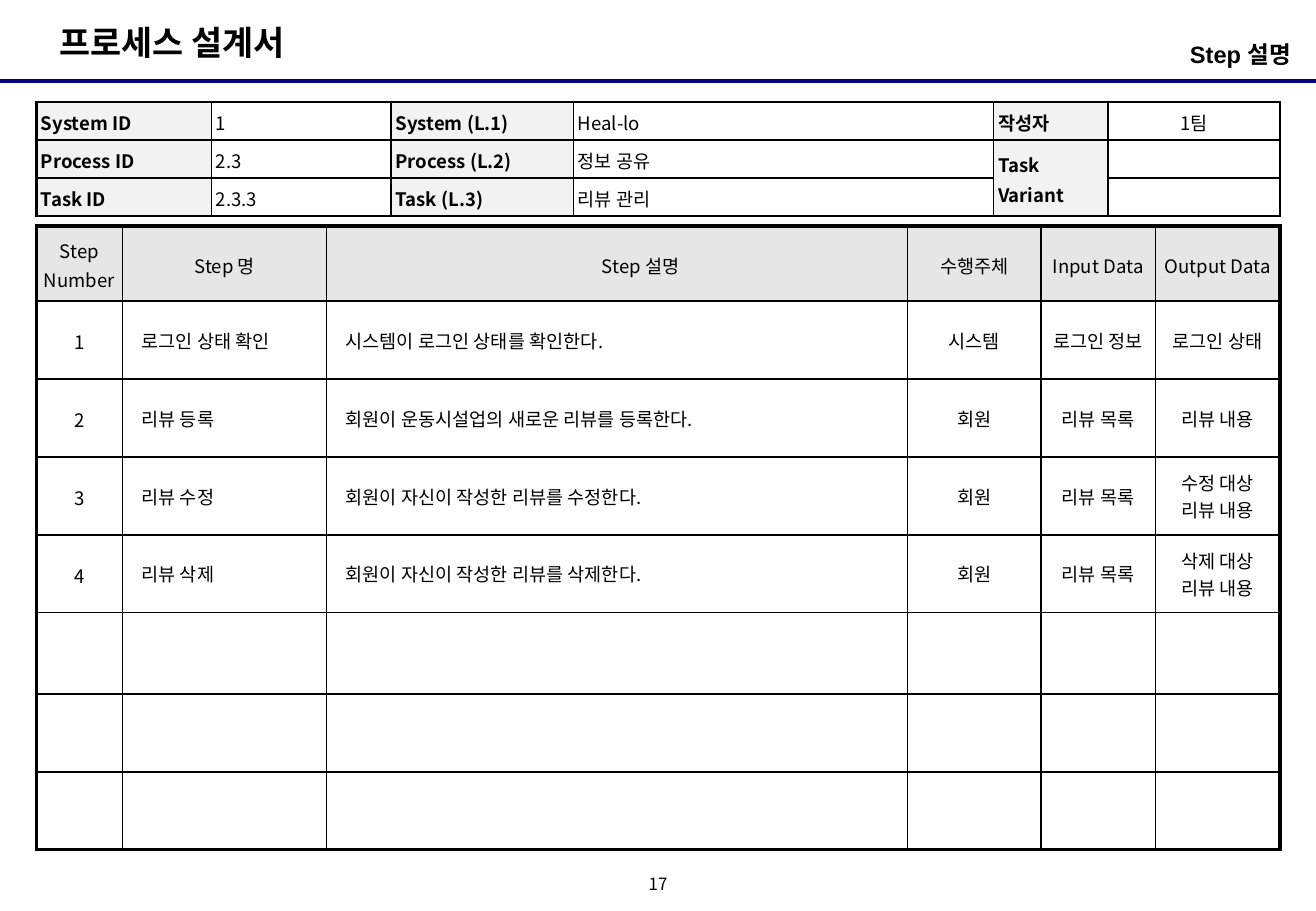
"""Build the step description page of a process design document."""
from lxml.etree import SubElement
from pptx import Presentation
from pptx.dml.color import RGBColor
from pptx.enum.shapes import MSO_CONNECTOR as Connector
from pptx.enum.text import MSO_ANCHOR as Anchor, PP_ALIGN as Align
from pptx.oxml.ns import qn
from pptx.util import Pt

BLACK = RGBColor(0, 0, 0)
NAVY = RGBColor(0, 0, 0x80)
LABEL_GREY = RGBColor(0xF2, 0xF2, 0xF2)
HEADER_GREY = RGBColor(0xE6, 0xE6, 0xE6)
KOREAN_FONT = "Noto Sans CJK KR"
TABLE_LEFT = 21.6

INFO_COLUMNS = [103.7, 106.6, 108, 249.1, 67.7, 102.2]
INFO_ROWS = [
    ["System ID", "1", "System (L.1)", "Heal-lo", "작성자", "1팀"],
    ["Process ID", "2.3", "Process (L.2)", "정보 공유", "Task Variant", ""],
    ["Task ID", "2.3.3", "Task (L.3)", "리뷰 관리", "", ""],
]
STEP_COLUMNS = [51.1, 121, 344.2, 79.2, 67.7, 73.9]
STEP_HEIGHTS = [44.6] + [46.2] * 4 + [48.2] + [46.2] * 2
STEP_ROWS = [
    ["Step Number", "Step 명", "Step 설명", "수행주체", "Input Data", "Output Data"],
    ["1", "로그인 상태 확인", "시스템이 로그인 상태를 확인한다.", "시스템", "로그인 정보", "로그인 상태"],
    ["2", "리뷰 등록", "회원이 운동시설업의 새로운 리뷰를 등록한다.", "회원", "리뷰 목록", "리뷰 내용"],
    ["3", "리뷰 수정", "회원이 자신이 작성한 리뷰를 수정한다.", "회원", "리뷰 목록", "수정 대상\n리뷰 내용"],
    ["4", "리뷰 삭제", "회원이 자신이 작성한 리뷰를 삭제한다.", "회원", "리뷰 목록", "삭제 대상\n리뷰 내용"],
] + [[""] * 6] * 3


def apply_format(target, values):
    for name, value in values.items():
        setattr(target, name, value)


def write_text(frame, text, size, bold=False, font=KOREAN_FONT, indent=0, **paragraph_format):
    frame.text = text
    for paragraph in frame.paragraphs:
        apply_format(paragraph, paragraph_format)
        if indent:
            paragraph._p.get_or_add_pPr().set("marL", str(Pt(indent)))
        if not paragraph.runs:
            paragraph._p.get_or_add_endParaRPr().set("sz", str(size * 100))
        for run in paragraph.runs:
            apply_format(run.font, {"size": Pt(size), "bold": bold, "name": font})
            run.font.color.rgb = BLACK
            SubElement(run.font._element, qn("a:ea"), typeface=KOREAN_FONT)


def add_text(slide, bounds, text, size, frame_format, **text_format):
    shape = slide.shapes.add_textbox(*map(Pt, bounds))
    apply_format(shape.text_frame, frame_format)
    write_text(shape.text_frame, text, size, **text_format)


def add_rule(slide, top, width):
    line = slide.shapes.add_connector(Connector.STRAIGHT, 0, Pt(top), Pt(width), Pt(top))
    line.line.color.rgb = NAVY
    line.line.width = Pt(2.25)
    SubElement(line._element.spPr, qn("a:effectLst"))


def set_borders(cell, widths):
    properties = cell._tc.get_or_add_tcPr()
    for side, width in widths.items():
        border = SubElement(properties, qn(f"a:ln{side}"), w=str(Pt(width)))
        fill = SubElement(border, qn("a:solidFill"))
        SubElement(fill, qn("a:srgbClr"), val=str(BLACK))


def add_table(slide, top, columns, heights, outer, accents=()):
    rows, count = len(heights), len(columns)
    table = slide.shapes.add_table(
        rows, count, Pt(TABLE_LEFT), Pt(top), Pt(sum(columns)), Pt(sum(heights))).table
    apply_format(table, {"first_row": False, "horz_banding": False})
    for column, width in zip(table.columns, columns):
        column.width = Pt(width)
    for row, height in zip(table.rows, heights):
        row.height = Pt(height)
    for r in range(rows):
        for c in range(count):
            heavy = {"L": c == 0, "R": c == count - 1,
                     "T": r == 0 or (r, c) in accents,
                     "B": r == rows - 1 or (r + 1, c) in accents}
            set_borders(table.cell(r, c),
                        {side: outer if thick else 1 for side, thick in heavy.items()})
    return table


def fill_cell(cell, text, side_margin, anchor, color=None, **text_format):
    apply_format(cell, {"margin_left": Pt(side_margin), "margin_right": Pt(side_margin),
                        "margin_top": Pt(2.6), "margin_bottom": Pt(2.6),
                        "vertical_anchor": anchor})
    if color is None:
        cell.fill.background()
    else:
        cell.fill.solid()
        cell.fill.fore_color.rgb = color
    write_text(cell.text_frame, text, 11, **text_format)


def add_info_table(slide):
    table = add_table(slide, 60.5, INFO_COLUMNS, [22.5] * 3, 1.5, {(1, 4), (1, 5)})
    for r, row in enumerate(INFO_ROWS):
        for c, text in enumerate(row):
            is_label = c % 2 == 0
            fill_cell(table.cell(r, c), text, 2.6,
                      Anchor.MIDDLE if c > 3 else Anchor.TOP,
                      LABEL_GREY if is_label else None, bold=is_label,
                      alignment=Align.CENTER if c == 5 else Align.LEFT, line_spacing=1.1)
    table.cell(1, 4).merge(table.cell(2, 4))


def add_step_table(slide):
    table = add_table(slide, 133.9, STEP_COLUMNS, STEP_HEIGHTS, 2.25)
    for r, row in enumerate(STEP_ROWS):
        for c, text in enumerate(row):
            is_header = r == 0
            is_prose = not is_header and c in (1, 2)
            indent = 28 if is_header and c == 2 else 7.2 if is_prose else 0
            fill_cell(table.cell(r, c), text, 4, Anchor.MIDDLE,
                      HEADER_GREY if is_header else None, indent=indent,
                      alignment=Align.LEFT if is_prose else Align.CENTER,
                      line_spacing=1.1 if is_header or c == 0 else 1.0)


def main():
    presentation = Presentation()
    apply_format(presentation, {"slide_width": Pt(780), "slide_height": Pt(540)})
    slide = presentation.slides.add_slide(presentation.slide_layouts[6])
    add_rule(slide, 48.2, 780)
    add_text(slide, (28, 9.4, 163, 32), "프로세스 설계서", 20, {"word_wrap": False}, bold=True)
    no_margins = dict.fromkeys(
        ["margin_left", "margin_right", "margin_top", "margin_bottom"], 0)
    add_text(slide, (378, 516, 24, 18), "17", 10,
             {"word_wrap": False, "vertical_anchor": Anchor.MIDDLE, **no_margins},
             alignment=Align.CENTER, line_spacing=0.8)
    add_info_table(slide)
    add_step_table(slide)
    add_text(slide, (532, 20.2, 238.4, 28), "Step 설명", 14,
             {"word_wrap": True, "margin_left": 0, "margin_right": Pt(5)},
             bold=True, font="Arial", alignment=Align.RIGHT)
    presentation.save("out.pptx")


if __name__ == "__main__":
    main()
